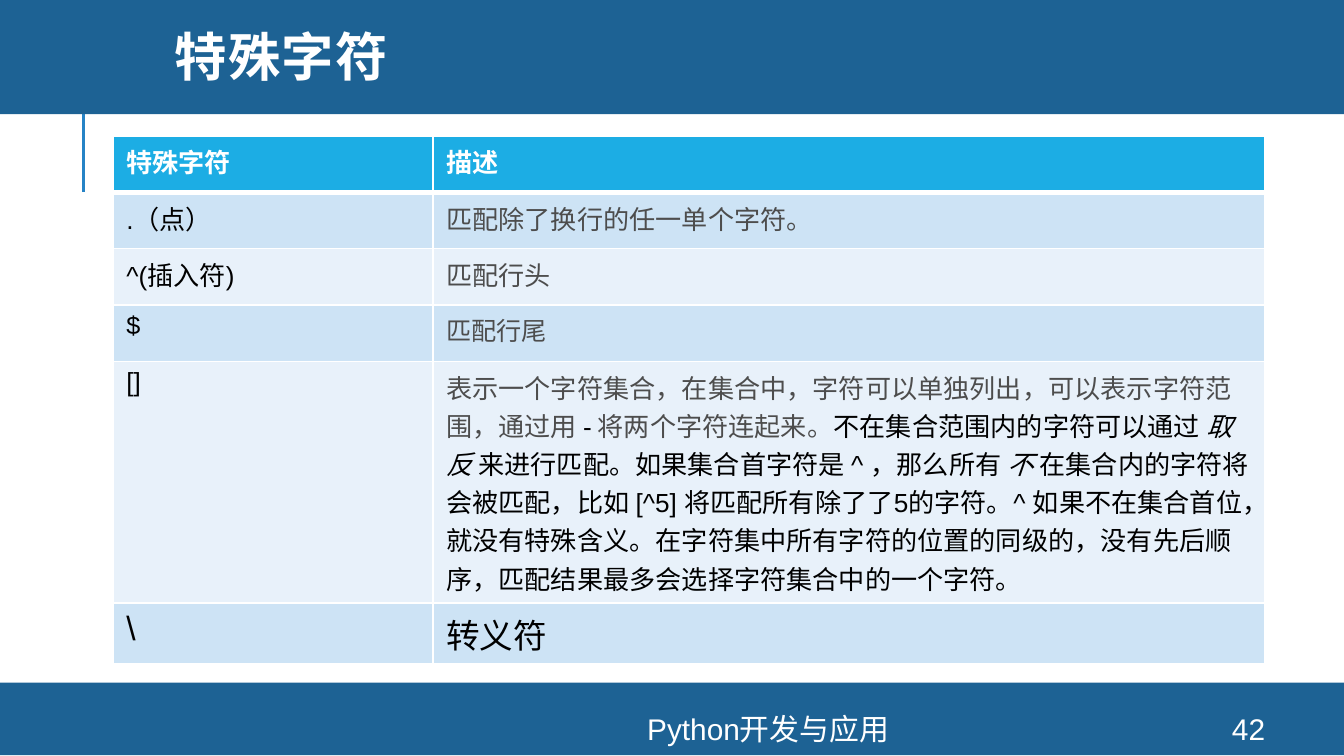
from dataclasses import dataclass
from typing import Optional

import lxml.etree
import pptx
import pptx.dml.color
import pptx.enum.shapes
import pptx.enum.text
import pptx.oxml
import pptx.oxml.ns
import pptx.util
from pptx.util import Inches

RGBColor = pptx.dml.color.RGBColor
NAVY = RGBColor(0x1D, 0x62, 0x94)
BLUE = RGBColor(0x26, 0x83, 0xC6)
CYAN = RGBColor(0x1C, 0xAD, 0xE4)
BAND_DARK = RGBColor(0xCD, 0xE3, 0xF5)
BAND_LIGHT = RGBColor(0xE8, 0xF1, 0xFA)
WHITE = RGBColor(0xFF, 0xFF, 0xFF)
BLACK = RGBColor(0, 0, 0)
GRAY = RGBColor(0x4D, 0x4D, 0x4D)
LATIN = "Arial"
CJK = "Noto Sans CJK SC"
SLIDE_WIDTH = 10
SLIDE_HEIGHT = SLIDE_WIDTH * 9 / 16
ROW_HEIGHT = 0.42


@dataclass(frozen=True)
class Band:
    top: float
    height: float


@dataclass(frozen=True)
class Label:
    text: str
    left: float
    width: float


@dataclass(frozen=True)
class Span:
    text: str
    font: str = LATIN
    color: RGBColor = BLACK
    italic: bool = False


@dataclass(frozen=True)
class Entry:
    symbol: str
    description: tuple[Span, ...]
    size: float = 14
    height: float = ROW_HEIGHT


def gray(text: str) -> Span:
    return Span(text, CJK, GRAY)


BANDS = (Band(5.08, 0.54), Band(-0.03, 0.88))
FOOTERS = (Label("Python开发与应用", 2.61, 6.21), Label("42", 8.89, 0.8))
HEADINGS = ("特殊字符", "描述")
COLUMN_WIDTHS = (2.38, 6.19)
ENTRIES = (
    Entry(".（点）", (gray("匹配除了换行的任一单个字符。"),)),
    Entry("^(插入符)", (gray("匹配行头"),)),
    Entry("$", (gray("匹配行尾"),), size=13.5),
    Entry("[]", (
        gray("表示一个字符集合，在集合中，字符可以单独列出，可以表示字符范围，通过用 "),
        Span("-"),
        gray(" 将两个字符连起来。"),
        Span("不在集合范围内的字符可以通过 "),
        Span("取反", italic=True),
        Span(" 来进行匹配。如果集合首字符是 ^ ，那么所有 "),
        Span("不", italic=True),
        Span(" 在集合内的字符将会被匹配，比如 [^5] 将匹配所有除了了5的字符。"
             "^ 如果不在集合首位，就没有特殊含义。在字符集中所有字符的位置的同级的，"
             "没有先后顺序，匹配结果最多会选择字符集合中的一个字符。"),
    ), height=1.8),
    Entry("\\", (Span("转义符"),), size=18, height=0.45),
)


def write(paragraph, text: str, *, size: float = 14, font: str = LATIN,
          color: RGBColor = BLACK, bold: bool = False, italic: bool = False,
          spacing: Optional[float] = None) -> None:
    run = paragraph.add_run()
    run.text = text
    run.font.size = pptx.util.Pt(size)
    run.font.name = font
    run.font.bold = bold
    run.font.italic = italic
    run.font.color.rgb = color
    properties = run.font._element
    east_asian = lxml.etree.SubElement(properties, pptx.oxml.ns.qn("a:ea"))
    east_asian.set("typeface", CJK)
    if spacing is not None:
        properties.set("spc", str(round(spacing * 100)))


def draw_band(slide, band: Band) -> None:
    bar = slide.shapes.add_shape(pptx.enum.shapes.MSO_SHAPE.RECTANGLE, 0, Inches(band.top),
                                 Inches(SLIDE_WIDTH), Inches(band.height))
    bar.shadow.inherit = False
    bar.fill.solid()
    bar.fill.fore_color.rgb = NAVY
    bar.line.fill.background()


def draw_accent(slide) -> None:
    accent = slide.shapes.add_connector(pptx.enum.shapes.MSO_CONNECTOR.STRAIGHT,
                                        Inches(0.62), Inches(1.43), Inches(0.62), Inches(0.68))
    accent.line.color.rgb = BLUE
    accent.line.width = pptx.util.Pt(1.5)
    lxml.etree.SubElement(accent._element.spPr, pptx.oxml.ns.qn("a:effectLst"))


def draw_title(slide, text: str) -> None:
    title = slide.shapes.title
    title.left, title.top = Inches(1.2), Inches(0)
    title.width, title.height = Inches(8.49), Inches(0.91)
    frame = title.text_frame
    frame.auto_size = pptx.enum.text.MSO_AUTO_SIZE.NONE
    frame.vertical_anchor = pptx.enum.text.MSO_ANCHOR.MIDDLE
    heading = frame.paragraphs[0]
    heading.alignment = pptx.enum.text.PP_ALIGN.LEFT
    heading.line_spacing = 0.8
    write(heading, text, size=28, font="Montserrat", color=WHITE, bold=True, spacing=0.8)
    tree = slide.shapes._spTree
    tree.remove(title._element)
    tree.append(title._element)


def draw_footer(slide, label: Label) -> None:
    footer = slide.shapes.add_textbox(Inches(label.left), Inches(5.31),
                                      Inches(label.width), Inches(0.23))
    frame = footer.text_frame
    frame.word_wrap = True
    frame.vertical_anchor = pptx.enum.text.MSO_ANCHOR.MIDDLE
    frame.paragraphs[0].alignment = pptx.enum.text.PP_ALIGN.CENTER
    write(frame.paragraphs[0], label.text, size=16, color=WHITE)


def style_cell(cell, fill: RGBColor, top: float, bottom: float) -> None:
    cell.fill.solid()
    cell.fill.fore_color.rgb = fill
    properties = cell._tc.get_or_add_tcPr()
    edges = (("L", 1), ("R", 1), ("T", top), ("B", bottom))
    for position, (side, width) in enumerate(edges):
        properties.insert(position, pptx.oxml.parse_xml(
            f'<a:ln{side} {pptx.oxml.ns.nsdecls("a")} w="{pptx.util.Pt(width)}">'
            f'<a:solidFill><a:srgbClr val="{WHITE}"/></a:solidFill></a:ln{side}>'))


def draw_table(slide) -> None:
    heights = [ROW_HEIGHT] + [entry.height for entry in ENTRIES]
    table = slide.shapes.add_table(len(heights), len(HEADINGS), Inches(0.84), Inches(1.01),
                                   Inches(sum(COLUMN_WIDTHS)), Inches(sum(heights))).table
    for column, width in zip(table.columns, COLUMN_WIDTHS):
        column.width = Inches(width)
    for row, height in zip(table.rows, heights):
        row.height = Inches(height)
    for cell, heading in zip(table.rows[0].cells, HEADINGS):
        style_cell(cell, CYAN, 1, 3)
        write(cell.text_frame.paragraphs[0], heading, color=WHITE, bold=True)
    for index, entry in enumerate(ENTRIES):
        symbol, description = table.rows[index + 1].cells
        for cell in (symbol, description):
            style_cell(cell, BAND_LIGHT if index % 2 else BAND_DARK, 1 if index else 3, 1)
        write(symbol.text_frame.paragraphs[0], entry.symbol, size=entry.size)
        for span in entry.description:
            write(description.text_frame.paragraphs[0], span.text, size=entry.size,
                  font=span.font, color=span.color, italic=span.italic)


def main() -> None:
    deck = pptx.Presentation()
    deck.slide_width, deck.slide_height = Inches(SLIDE_WIDTH), Inches(SLIDE_HEIGHT)
    slide = deck.slides.add_slide(deck.slide_layouts[5])
    draw_accent(slide)
    for band in BANDS:
        draw_band(slide, band)
    draw_title(slide, "特殊字符")
    for label in FOOTERS:
        draw_footer(slide, label)
    draw_table(slide)
    deck.save("out.pptx")


if __name__ == "__main__":
    main()
